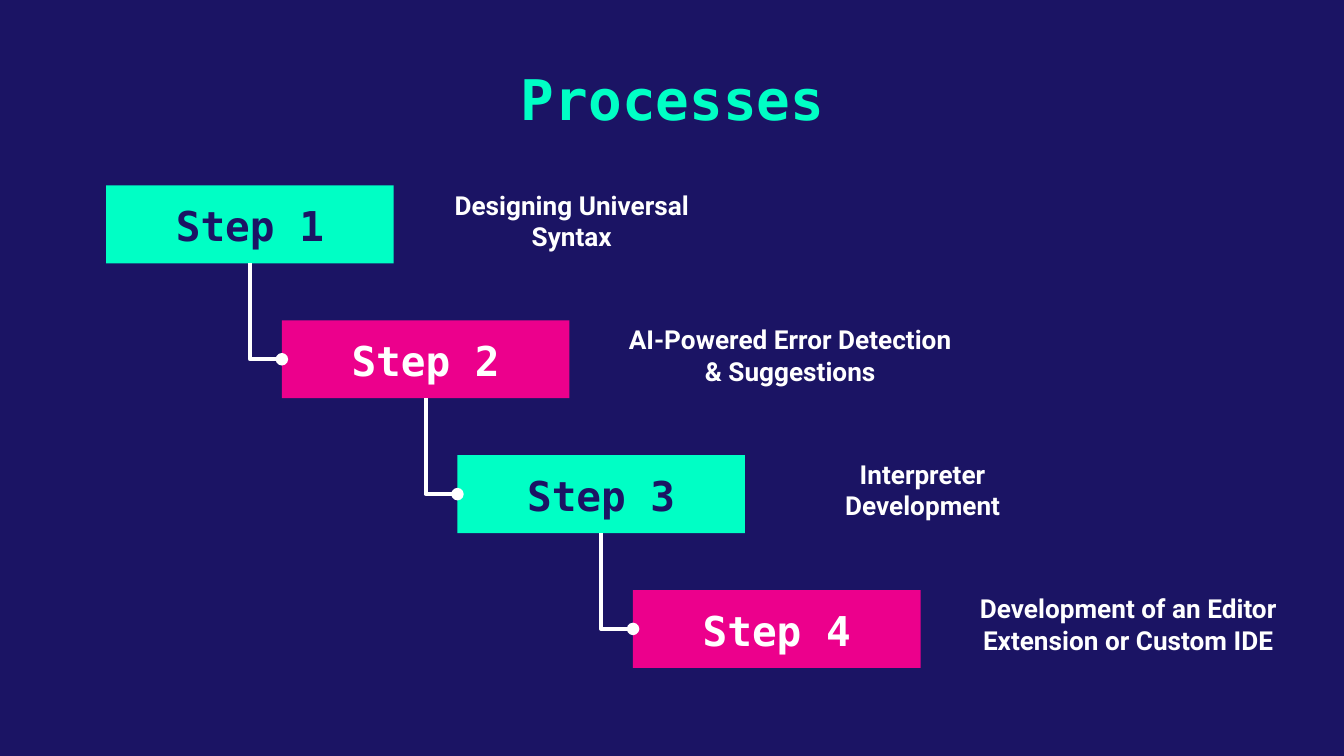
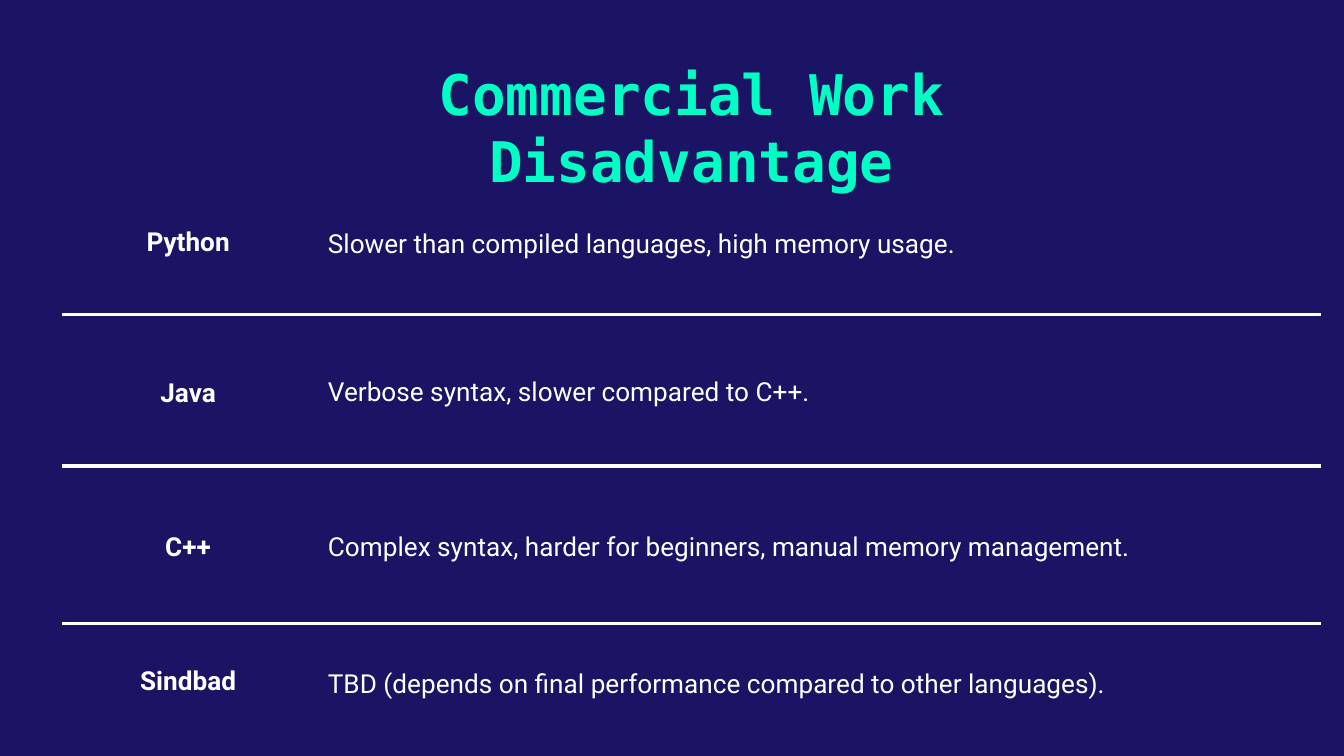
from lxml.etree import SubElement
from pptx import Presentation
from pptx.dml.color import RGBColor
from pptx.enum.shapes import MSO_CONNECTOR, MSO_SHAPE
from pptx.enum.text import MSO_ANCHOR, PP_ALIGN
from pptx.oxml import parse_xml
from pptx.oxml.ns import nsdecls, qn
from pptx.util import Inches, Pt

NAVY = RGBColor(0x1B, 0x14, 0x64)
MINT = RGBColor(0x00, 0xFF, 0xC5)
PINK = RGBColor(0xEC, 0x00, 0x8C)
WHITE = RGBColor(0xFF, 0xFF, 0xFF)

TITLE = {"name": "DejaVu Sans Mono", "size": Pt(30), "bold": True}
STEP = {"name": "DejaVu Sans Mono", "size": Pt(22), "bold": True}
LABEL = {"name": "Roboto", "size": Pt(14), "bold": True}
BODY = {"name": "Roboto", "size": Pt(14), "bold": False}
MARGINS = ("margin_left", "margin_top", "margin_right", "margin_bottom")


def write_text(paragraph, text, font_format, color, alignment=PP_ALIGN.CENTER):
    paragraph.text = text
    paragraph.alignment = alignment
    for name, value in font_format.items():
        setattr(paragraph.font, name, value)
    paragraph.font.color.rgb = color


def add_text(slide, position, text, font_format, color):
    shape = slide.shapes.add_textbox(*map(Inches, position))
    shape.text_frame.word_wrap = True
    for margin in MARGINS:
        setattr(shape.text_frame, margin, Inches(0.1))
    write_text(shape.text_frame.paragraphs[0], text, font_format, color)


presentation = Presentation()
presentation.slide_width = Inches(10)
presentation.slide_height = presentation.slide_width * 9 // 16

slides = []
for title, left, top in (
    ("Processes", 0.79, 0.38),
    ("Commercial Work\vDisadvantage", 0.93, 0.34),
):
    slide = presentation.slides.add_slide(presentation.slide_layouts[6])
    slide.background.fill.solid()
    slide.background.fill.fore_color.rgb = NAVY
    add_text(slide, (left, top, 8.43, 0.73), title, TITLE, MINT)
    slides.append(slide)
process_slide, language_slide = slides

steps = [
    ("Designing Universal Syntax", 3.22, 2.07),
    ("AI-Powered Error Detection & Suggestions", 4.53, 2.7),
    ("Interpreter Development", 5.83, 2.07),
    ("Development of an Editor Extension or Custom IDE", 7.06, 2.67),
]
step_right = (4.71 - 0.79) / 3
step_down = (4.39 - 1.38) / 3
boxes = []
for index, (description, left, width) in enumerate(steps):
    add_text(process_slide, (left, 1.31 + index, width, 0.73), description, LABEL, WHITE)
    box = process_slide.shapes.add_shape(
        MSO_SHAPE.RECTANGLE,
        Inches(0.79 + step_right * index), Inches(1.38 + step_down * index),
        Inches(2.14), Inches(0.58),
    )
    box.shadow.inherit = False
    box.fill.solid()
    box.fill.fore_color.rgb = PINK if index % 2 else MINT
    box.line.fill.background()
    box.text_frame.vertical_anchor = MSO_ANCHOR.BOTTOM
    for margin in MARGINS:
        setattr(box.text_frame, margin, Inches(0.1))
    write_text(box.text_frame.paragraphs[0], f"Step {index + 1}", STEP, WHITE if index % 2 else NAVY)
    boxes.append(box)

for upper, lower in zip(boxes, boxes[1:]):
    start_x, start_y = upper.left + upper.width // 2, upper.top + upper.height
    end_x, end_y = lower.left, lower.top + lower.height // 2
    run, drop = end_x - start_x, end_y - start_y
    connector = process_slide.shapes.add_connector(MSO_CONNECTOR.ELBOW, start_x, start_y, end_x, end_y)
    connector.begin_connect(upper, 2)
    connector.end_connect(lower, 1)
    connector.left = (start_x + end_x - drop) // 2
    connector.top = (start_y + end_y - run) // 2
    connector.width, connector.height = drop, run
    properties = connector.element.spPr
    transform = properties.find(qn("a:xfrm"))
    transform.set("rot", "16200000")
    transform.set("flipH", "1")
    properties.find(qn("a:prstGeom")).set("prst", "bentConnector2")
    connector.line.color.rgb = WHITE
    connector.line.width = Pt(2.25)
    SubElement(properties.find(qn("a:ln")), qn("a:tailEnd"), type="oval")
    SubElement(properties, qn("a:effectLst"))

languages = [
    ("Python", "Slower than compiled languages, high memory usage.", 1.07, None),
    ("Java", "Verbose syntax, slower compared to C++.", 1.13, 1.2),
    ("C++", "Complex syntax, harder for beginners, manual memory management.", 1.17, 1.2),
    ("Sindbad", "TBD (depends on final performance compared to other languages).", 0.87, None),
]
table = language_slide.shapes.add_table(
    len(languages), 2, Inches(0.46), Inches(1.27), Inches(9.37), Inches(4.24)
).table
table.first_row = False
table.horz_banding = False
table.columns[0].width = Inches(1.88)
table.columns[1].width = Inches(7.49)

for row, (language, drawback, height, label_spacing) in enumerate(languages):
    table.rows[row].height = Inches(height)
    ruled_sides = {"lnT": row > 0, "lnB": row < len(languages) - 1}
    for column, (text, font_format, alignment, spacing) in enumerate((
        (language, LABEL, PP_ALIGN.CENTER, label_spacing),
        (drawback, BODY, PP_ALIGN.LEFT, 1.15),
    )):
        cell = table.cell(row, column)
        cell.fill.background()
        cell.vertical_anchor = MSO_ANCHOR.MIDDLE
        for margin in MARGINS:
            setattr(cell, margin, Inches(0.1))
        paragraph = cell.text_frame.paragraphs[0]
        write_text(paragraph, text, font_format, WHITE, alignment)
        paragraph.line_spacing = spacing
        cell_properties = cell._tc.get_or_add_tcPr()
        for position, side in enumerate(("lnL", "lnR", "lnT", "lnB")):
            paint = "<a:noFill/>"
            if ruled_sides.get(side):
                paint = f'<a:solidFill><a:srgbClr val="{WHITE}"/></a:solidFill>'
            border = parse_xml(f'<a:{side} {nsdecls("a")} w="{Pt(2.25)}">{paint}</a:{side}>')
            cell_properties.insert(position, border)

presentation.save("out.pptx")
